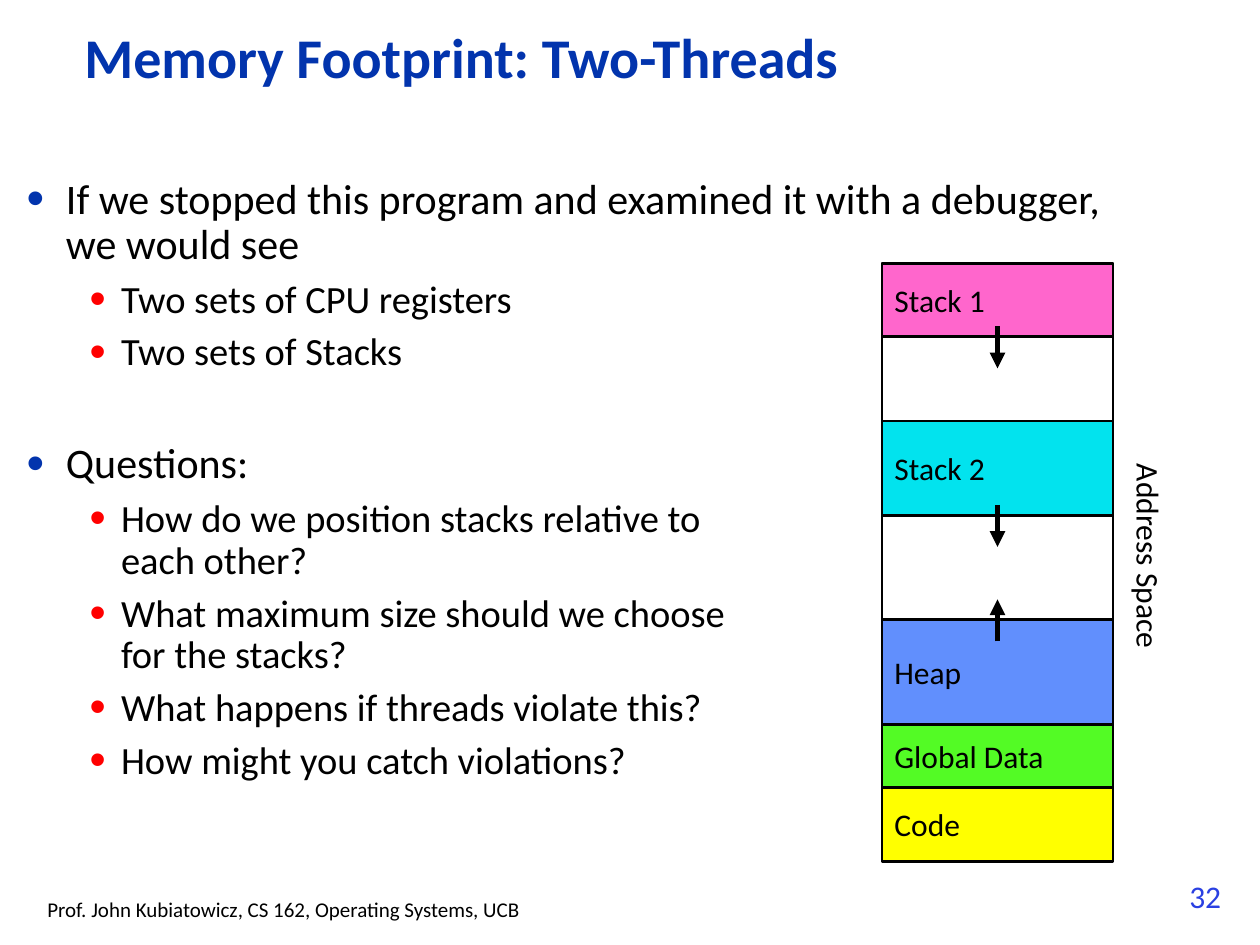
from lxml.etree import SubElement
from pptx import Presentation
from pptx.dml.color import RGBColor as RGB
from pptx.enum.shapes import MSO_CONNECTOR as LINE, MSO_SHAPE as SHAPE
from pptx.enum.text import MSO_ANCHOR as ANCHOR, MSO_AUTO_SIZE as FIT, PP_ALIGN as ALIGN
from pptx.oxml.ns import qn
from pptx.util import Pt

BLACK = RGB(0x00, 0x00, 0x00)
WHITE = RGB(0xFF, 0xFF, 0xFF)
NAVY = RGB(0x02, 0x34, 0xAD)
BLUE = RGB(0x2A, 0x40, 0xE2)
RED = RGB(0xFF, 0x00, 0x00)
PINK = RGB(0xFF, 0x66, 0xCC)
CYAN = RGB(0x02, 0xE3, 0xEE)
SKY = RGB(0x61, 0x8F, 0xFD)
GREEN = RGB(0x53, 0xFB, 0x25)
YELLOW = RGB(0xFF, 0xFF, 0x00)


def write(para, text, size, color=BLACK, bold=False):
    para.text = text
    for run in para.runs:
        for key, value in {"name": "Calibri", "size": Pt(size), "bold": bold}.items():
            setattr(run.font, key, value)
        run.font.color.rgb = color
    # Line breaks take the size of the text around them
    for gap in para._p.findall(qn("a:br")):
        SubElement(gap, qn("a:rPr")).set("sz", str(size * 100))


def place(shape, left, top, width, height):
    for key, value in zip(("left", "top", "width", "height"), (left, top, width, height)):
        setattr(shape, key, Pt(value))


deck = Presentation()
deck.slide_width, deck.slide_height = Pt(720), Pt(540)
slide = deck.slides.add_slide(deck.slide_layouts[1])
shapes = slide.shapes

# Title
title = shapes.title
place(title, 41, 13.7, 564, 42)
frame = title.text_frame
frame.auto_size = FIT.NONE
frame.vertical_anchor = ANCHOR.MIDDLE
para = frame.paragraphs[0]
para.alignment = ALIGN.LEFT
para.line_spacing = 0.9
write(para, "Memory Footprint: Two-Threads", 32, NAVY, True)

# Bullet list: level, space before, text
items = [
    (0, 0, "If we stopped this program and examined it with a debugger, we would see"),
    (1, 6.5, "Two sets of CPU registers"),
    (1, 6.5, "Two sets of Stacks"),
    (0, 39, "Questions:"),
    (1, 6.5, "How do we position stacks relative to\veach other?"),
    (1, 6.5, "What maximum size should we choose\vfor the stacks?"),
    (1, 6.5, "What happens if threads violate this?"),
    (1, 6.5, "How might you catch violations?"),
]
looks = [(24, NAVY, 22.5, 22.5), (22, RED, 54, 18)]  # size, bullet, margin, hang
body = slide.placeholders[1]
place(body, 8, 98, 642, 402)
frame = body.text_frame
frame.auto_size = FIT.NONE
for i, (level, space, text) in enumerate(items):
    size, dot, margin, hang = looks[level]
    para = frame.add_paragraph() if i else frame.paragraphs[0]
    para.level = level
    props = para._p.get_or_add_pPr()
    props.set("marL", str(Pt(margin)))
    props.set("indent", str(-Pt(hang)))
    SubElement(SubElement(props, qn("a:buClr")), qn("a:srgbClr")).set("val", str(dot))
    SubElement(props, qn("a:buSzPct")).set("val", "120000")
    SubElement(props, qn("a:buChar")).set("char", "•")
    para.line_spacing = 0.9
    para.space_before = Pt(space)
    write(para, text, size)

# Memory regions: top, height, fill, label
regions = [
    (150.5, 342, WHITE, ""),
    (450, 42, YELLOW, "Code"),
    (414, 36, GREEN, "Global Data"),
    (354, 60, SKY, "Heap"),
    (150.5, 42, PINK, "Stack 1"),
    (240.5, 54, CYAN, "Stack 2"),
]
for top, height, fill, label in regions:
    box = shapes.add_shape(SHAPE.RECTANGLE, Pt(504), Pt(top), Pt(132), Pt(height))
    box.shadow.inherit = False
    box.fill.solid()
    box.fill.fore_color.rgb = fill
    box.line.color.rgb = BLACK
    box.line.width = Pt(1.5)
    if label:
        frame = box.text_frame
        frame.vertical_anchor = ANCHOR.MIDDLE
        frame.paragraphs[0].alignment = ALIGN.LEFT
        write(frame.paragraphs[0], label, 18)

# Growth arrows
for start, end in [(186.5, 210.5), (288.5, 312.5), (366.5, 342.5)]:
    arrow = shapes.add_connector(LINE.STRAIGHT, Pt(570), Pt(start), Pt(570), Pt(end))
    arrow.line.color.rgb = BLACK
    arrow.line.width = Pt(3)
    SubElement(arrow.line._get_or_add_ln(), qn("a:tailEnd")).set("type", "triangle")
    SubElement(arrow._element.spPr, qn("a:effectLst"))

# Side label, footer and page number
notes = [
    ("Address Space", 596, 304, 121, 29, 18, BLACK, 90),
    ("Prof. John Kubiatowicz, CS 162, Operating Systems, UCB", 20, 509, 288, 21.6, 12, BLACK, 0),
    ("32", 672.5, 497.5, 36.7, 29, 18, BLUE, 0),
]
for text, left, top, width, height, size, color, turn in notes:
    note = shapes.add_textbox(Pt(left), Pt(top), Pt(width), Pt(height))
    note.rotation = turn
    note.text_frame.word_wrap = False
    write(note.text_frame.paragraphs[0], text, size, color)

deck.save("out.pptx")
